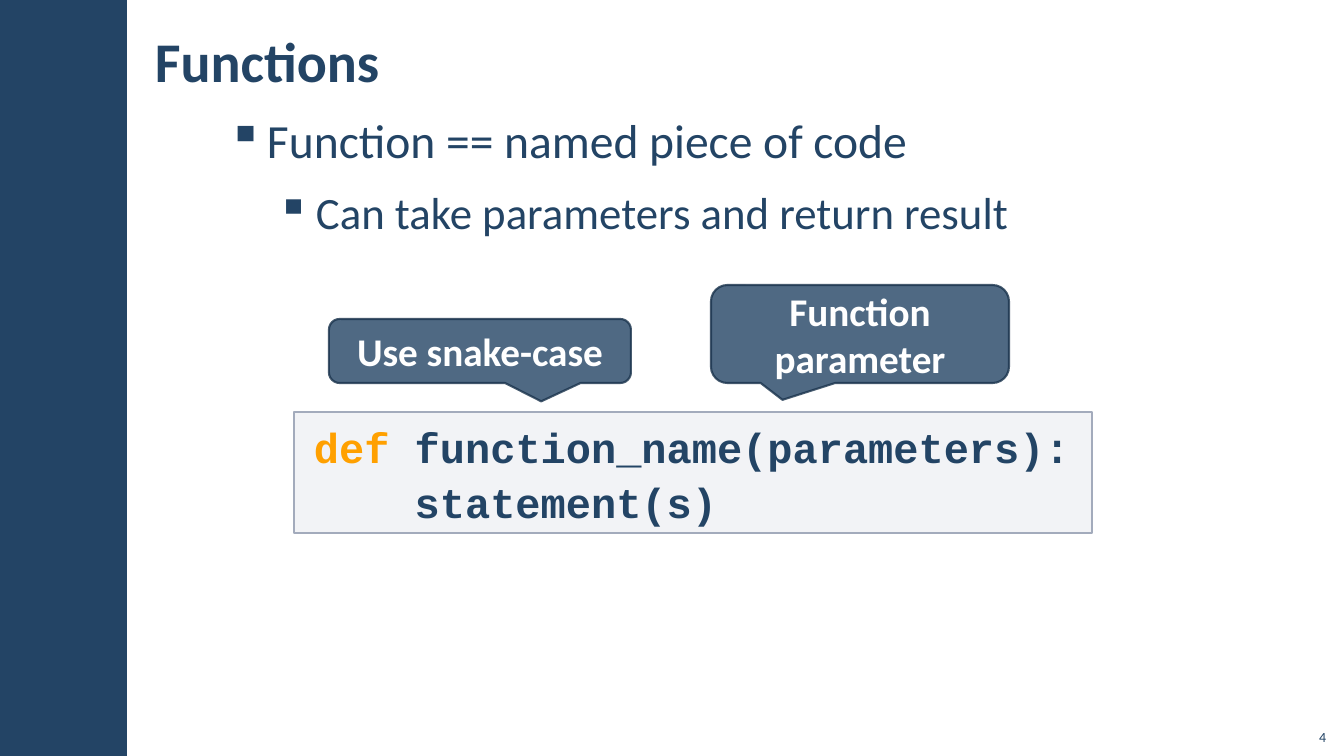
import pptx
import pptx.util
import pptx.dml.color
import pptx.enum.shapes
import pptx.enum.text
from lxml import etree

PX = 914400 / 100.8
NAVY, WHITE, ORANGE = "234465", "FFFFFF", "FFA000"
SHAPE = pptx.enum.shapes.MSO_SHAPE
ALIGN = pptx.enum.text.PP_ALIGN
ANCHOR = pptx.enum.text.MSO_ANCHOR


def paint(fmt, color, alpha=100):
    """Give a fill (of a shape, line or font) a solid colour and opacity."""
    fmt.solid()
    fmt.fore_color.rgb = pptx.dml.color.RGBColor.from_string(color)
    if alpha < 100:
        clr = fmt._xPr.find(".//" + pptx.oxml.ns.qn("a:srgbClr"))
        etree.SubElement(clr, pptx.oxml.ns.qn("a:alpha"), val=str(alpha * 1000))


def style(r, size, color, bold=False, name="Calibri"):
    r.font.size = pptx.util.Pt(size)
    r.font.bold = bold
    r.font.name = name
    paint(r.font.fill, color)


prs = pptx.Presentation()
prs.slide_width, prs.slide_height = int(1344 * PX), int(756 * PX)
s = prs.slides.add_slide(prs.slide_layouts[5])

# Title
title = s.shapes.title
title.left, title.top, title.width, title.height = [int(v * PX) for v in (143, 11, 951, 98)]
tf = title.text_frame
tf.text = "Functions"
tf.vertical_anchor = ANCHOR.MIDDLE
tf.margin_left = tf.margin_right = int(12 * PX)
tf.margin_top = tf.margin_bottom = int(4 * PX)
tf.paragraphs[0].alignment = ALIGN.LEFT
style(tf.paragraphs[0].runs[0], 40, NAVY, True)

# Side band
band = s.shapes.add_shape(SHAPE.RECTANGLE, 0, 0, int(127 * PX), prs.slide_height)
band.shadow.inherit = False
paint(band.fill, NAVY)
band.line.fill.background()

# Bulleted text
body = s.shapes.add_textbox(*[int(v * PX) for v in (216, 107, 1106, 616)])
tf = body.text_frame
tf.word_wrap = True
tf.margin_left = tf.margin_right = int(12 * PX)
tf.margin_top = tf.margin_bottom = int(4 * PX)
bullets = [("Function == named piece of code", 34, 39),
           ("Can take parameters and return result", 32, 88)]
for level, (text, size, indent) in enumerate(bullets):
    p = tf.add_paragraph() if level else tf.paragraphs[0]
    p.text = text
    p.level = level
    p.space_before = p.space_after = pptx.util.Pt(6)
    style(p.runs[0], size, NAVY)
    pPr = p._p.get_or_add_pPr()
    pPr.set("marL", str(int(indent * PX)))
    pPr.set("indent", str(int(-39 * PX)))
    etree.SubElement(pPr, pptx.oxml.ns.qn("a:buChar"), char="▪")

# Code box
code = s.shapes.add_shape(SHAPE.RECTANGLE, *[int(v * PX) for v in (294, 412, 798, 121)])
code.shadow.inherit = False
paint(code.fill, "ADB4C3", 15)
paint(code.line.fill, "A3ABBC")
code.line.width = pptx.util.Pt(1)
tf = code.text_frame
tf.word_wrap = True
tf.vertical_anchor = ANCHOR.TOP
tf.margin_left = tf.margin_right = int(20 * PX)
tf.margin_top, tf.margin_bottom = int(4 * PX), int(8 * PX)
code_lines = [[("def ", ORANGE), ("function_name(parameters):", NAVY)],
              [("    statement(s)", NAVY)]]
for i, parts in enumerate(code_lines):
    p = tf.add_paragraph() if i else tf.paragraphs[0]
    p.alignment = ALIGN.LEFT
    p.line_spacing = 1.1
    for text, color in parts:
        r = p.add_run()
        r.text = text
        style(r, 30, color, True, "Courier New")

# Callouts
callouts = [("Use snake-case", (329, 319, 302, 64), (0.203, 0.787)),
            ("Function parameter", (711, 285, 298, 98), (-0.26, 0.672))]
for text, box, tip in callouts:
    sp = s.shapes.add_shape(SHAPE.ROUNDED_RECTANGULAR_CALLOUT, *[int(v * PX) for v in box])
    sp.adjustments[0], sp.adjustments[1] = tip
    sp.shadow.inherit = False
    paint(sp.fill, NAVY, 80)
    paint(sp.line.fill, "1A334C", 80)
    sp.line.width = pptx.util.Pt(1.5)
    tf = sp.text_frame
    tf.text = text
    tf.word_wrap = True
    tf.vertical_anchor = ANCHOR.MIDDLE
    tf.paragraphs[0].alignment = ALIGN.CENTER
    style(tf.paragraphs[0].runs[0], 28, WHITE, True)

# Slide number
number = s.shapes.add_textbox(*[int(v * PX) for v in (1295, 718, 41, 32)])
tf = number.text_frame
tf.text = "4"
tf.word_wrap = True
tf.vertical_anchor = ANCHOR.BOTTOM
tf.paragraphs[0].alignment = ALIGN.RIGHT
style(tf.paragraphs[0].runs[0], 10, NAVY)

prs.save("out.pptx")
